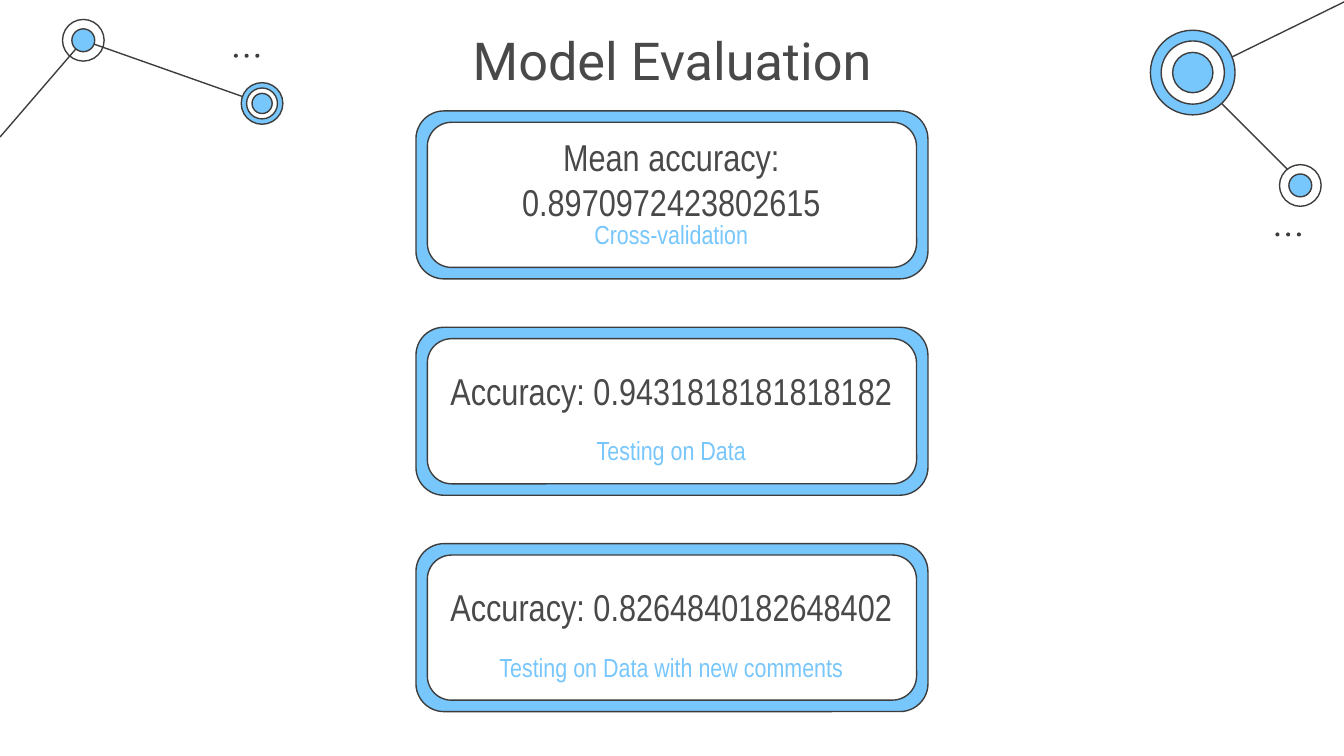
from dataclasses import dataclass

from lxml.etree import SubElement
from pptx import Presentation
from pptx.dml.color import RGBColor
from pptx.enum.shapes import MSO_CONNECTOR as Connector, MSO_SHAPE as Shape
from pptx.enum.text import MSO_ANCHOR as Anchor, PP_ALIGN as Align
from pptx.oxml.ns import qn
from pptx.util import Inches, Pt

COLORS = {"sky": "77C6FC", "ink": "3D3D3D", "text": "494949", "white": "FFFFFF"}
CELL = Inches(0.01)  # the slide is a 16:9 grid, 1000 columns wide
COLUMNS, ROWS = 1000, 562.5
INSET = Inches(0.1)


@dataclass
class Box:
    """A rectangle in grid cells."""
    left: float
    top: float
    width: float
    height: float

    def lengths(self):
        """Return the rectangle as slide lengths."""
        return [round(cells * CELL)
                for cells in (self.left, self.top, self.width, self.height)]

    def inside(self, left, top, width, height):
        """Return a box offset from this one's corner."""
        return Box(self.left + left, self.top + top, width, height)


def color(name):
    """Look up a colour by name."""
    return RGBColor.from_string(COLORS[name])


def add_figure(page, preset, box, fill=None, outlined=True):
    """Add a flat preset shape, filled and outlined on request."""
    figure = page.shapes.add_shape(preset, *box.lengths())
    figure.shadow.inherit = False
    if fill:
        figure.fill.solid()
        figure.fill.fore_color.rgb = color(fill)
    else:
        figure.fill.background()
    if outlined:
        figure.line.color.rgb = color("ink")
        figure.line.width = Pt(0.75)
    else:
        figure.line.fill.background()


def format_text(frame, text, font, size, ink, anchor):
    """Write one centred paragraph into a text frame."""
    frame.text = text
    frame.word_wrap = True
    frame.vertical_anchor = anchor
    frame.margin_left = frame.margin_right = INSET
    frame.margin_top = frame.margin_bottom = INSET
    para = frame.paragraphs[0]
    para.alignment = Align.CENTER
    span = para.runs[0]
    span.font.name = font
    span.font.size = Pt(size)
    span.font.color.rgb = color(ink)


def add_link(page, start, end):
    """Join two grid points with a thin line."""
    link = page.shapes.add_connector(
        Connector.STRAIGHT, *(round(cells * CELL) for cells in (*start, *end)))
    link.line.color.rgb = color("ink")
    link.line.width = Pt(0.75)
    SubElement(link._element.spPr, qn("a:effectLst"))


def add_node(page, center, rings):
    """Draw concentric circles, given as (diameter, fill), outermost first."""
    for diameter, fill in rings:
        box = Box(center[0] - diameter / 2, center[1] - diameter / 2,
                  diameter, diameter)
        add_figure(page, Shape.OVAL, box, fill)


def add_dots(page, box):
    """Draw three small dots in a row, spread over the box."""
    step = (box.width - box.height) / 2
    for index in range(3):
        dot = box.inside(index * step, 0, box.height, box.height)
        add_figure(page, Shape.OVAL, dot, "ink", outlined=False)


def add_network(page, links, nodes, dots):
    """Draw a corner ornament: links below, then nodes and dots."""
    for start, end in links:
        add_link(page, start, end)
    for center, rings in nodes:
        add_node(page, center, rings)
    add_dots(page, dots)


def add_title(page, box, text):
    """Move and format the title placeholder."""
    title = page.shapes.title
    title.left, title.top, title.width, title.height = box.lengths()
    format_text(title.text_frame, text, "Roboto", 28, "text", Anchor.TOP)


def add_card(page, box, value, caption, value_top):
    """Draw a framed card with a value above its caption."""
    panel = box.inside(8.5, 8.5, box.width - 17, box.height - 17)
    for part, fill in ((box, "sky"), (panel, "white")):
        add_figure(page, Shape.ROUNDED_RECTANGLE, part, fill)
    for text, top, height, size, ink in (
            (value, value_top, 62, 20, "text"), (caption, 76.5, 30, 14, "sky")):
        label = page.shapes.add_textbox(
            *box.inside(-0.5, top, box.width, height).lengths())
        format_text(label.text_frame, text, "Arial Narrow", size, ink, Anchor.MIDDLE)


deck = Presentation()
deck.slide_width, deck.slide_height = round(COLUMNS * CELL), round(ROWS * CELL)
page = deck.slides.add_slide(deck.slide_layouts[5])

top_left, middle_left = (62, 30), (195, 77)
top_right, low_right = (887.5, 54), (967.5, 138)
add_network(
    page,
    links=[(top_left, middle_left), ((0, 102), top_left)],
    nodes=[(top_left, [(31, None), (17, "sky")]),
           (middle_left, [(31, "sky"), (23, "white"), (15, "sky")])],
    dots=Box(174, 40, 19, 3))
add_network(
    page,
    links=[((967, 135), (887, 55)), ((1001, 1), (891, 55))],
    nodes=[(top_right, [(63, "sky"), (47, "white"), (30, "sky")]),
           (low_right, [(31, "white"), (17, "sky")])],
    dots=Box(949, 173, 19, 3))

add_title(page, Box(171.5, 11, 657, 65), "Model Evaluation")
cards = [
    ("Mean accuracy: 0.8970972423802615", "Cross-validation", 19.5),
    ("Accuracy: 0.9431818181818182", "Testing on Data", 16),
    ("Accuracy: 0.8264840182648402", "Testing on Data with new comments", 16),
]
for row, (value, caption, value_top) in enumerate(cards):
    add_card(page, Box(309.5, 82.5 + row * 161, 381, 125), value, caption, value_top)

deck.save("out.pptx")
